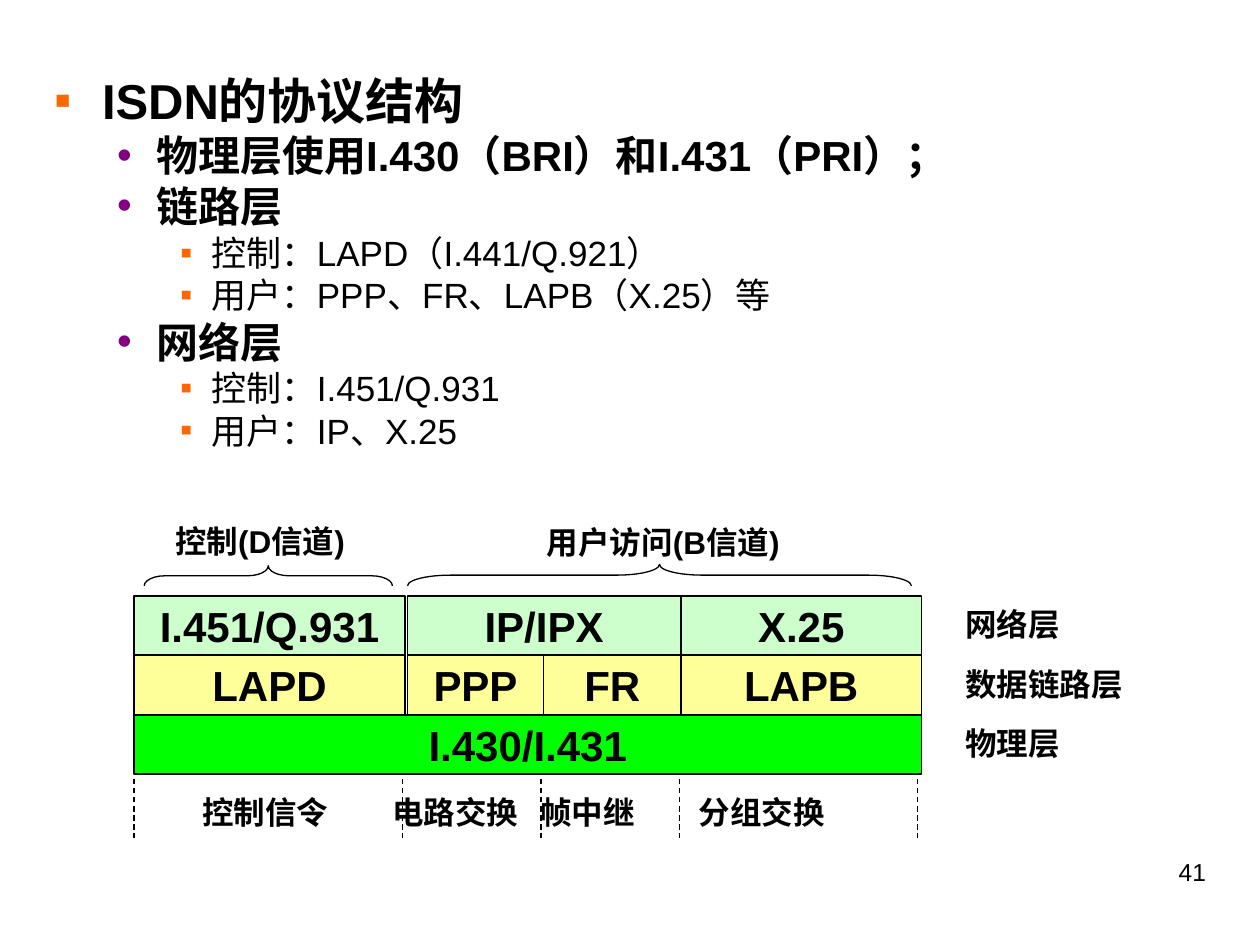
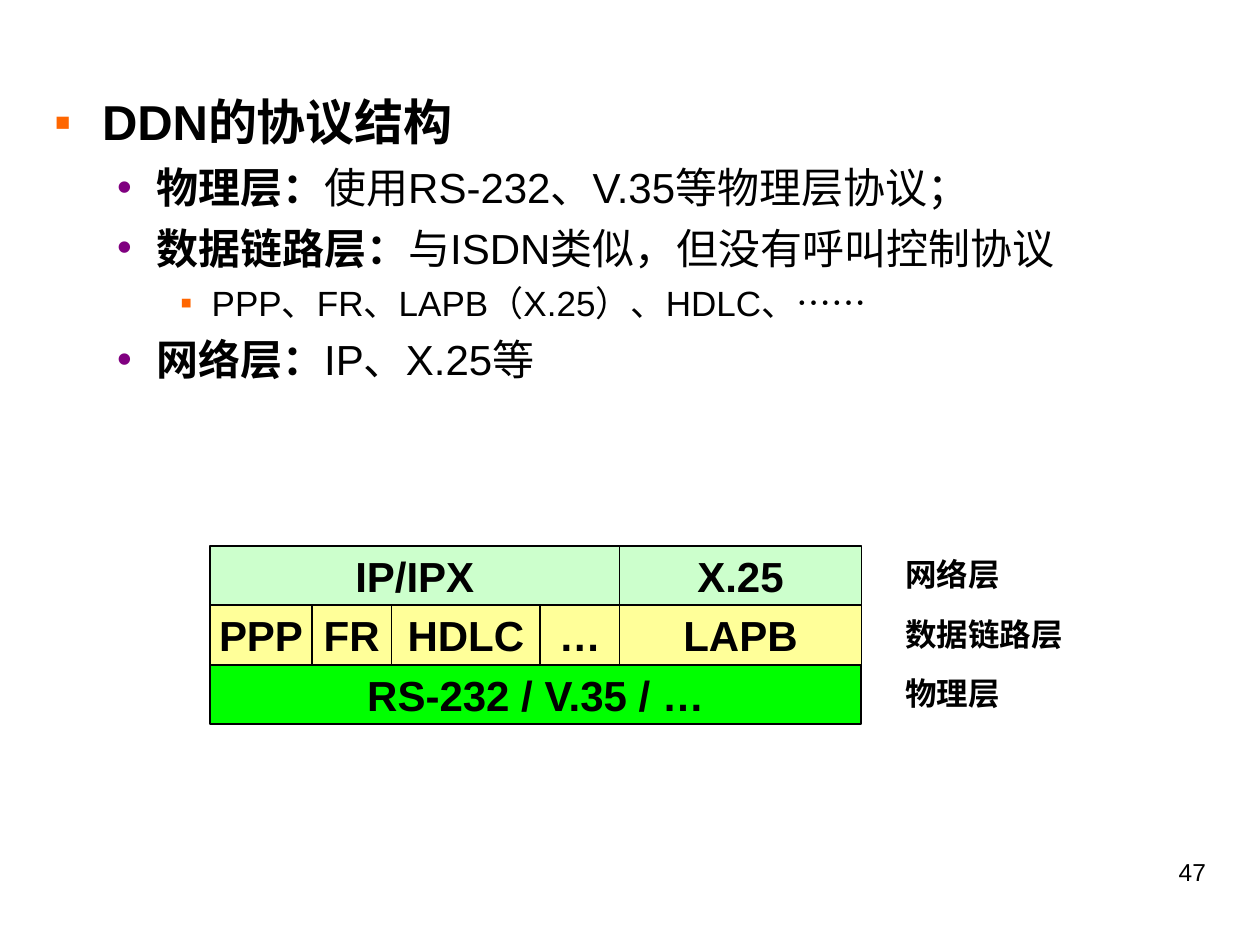
import itertools

import pptx
import pptx.util
import pptx.dml.color
import pptx.enum.dml
import pptx.enum.shapes
import pptx.enum.text
import pptx.oxml.ns
import lxml.etree

# The slide is a grid of 100 columns and 75 rows of 0.1 inch.
COLS, ROWS = 100, 75
UNIT = 0.1
FONT = "Arial"
INK = "000000"
FILLS = ["CCFFCC", "FFFF99", "00FF00"]
LAYERS = ["网络层", "数据链路层", "物理层"]
# Level: size, left margin, indent (inches), space before, bullet, bullet colour
LEVELS = [
    (28, 0.38, -0.38, 7, "▪", "FF6600"),
    (24, 0.81, -0.31, 6, "•", "800080"),
    (20, 1.25, -0.25, 5, "▪", "FF6600"),
]
ALIGN = pptx.enum.text.PP_ALIGN
SHAPE = pptx.enum.shapes.MSO_SHAPE

# Level, bold part, plain part
ISDN_TEXT = [
    (0, "ISDN的协议结构", ""),
    (1, "物理层使用I.430（BRI）和I.431（PRI）；", ""),
    (1, "链路层", ""),
    (2, "", "控制：LAPD（I.441/Q.921）"),
    (2, "", "用户：PPP、FR、LAPB（X.25）等"),
    (1, "网络层", ""),
    (2, "", "控制：I.451/Q.931"),
    (2, "", "用户：IP、X.25"),
]
DDN_TEXT = [
    (0, "DDN的协议结构", ""),
    (1, "物理层：", "使用RS-232、V.35等物理层协议；"),
    (1, "数据链路层：", "与ISDN类似，但没有呼叫控制协议"),
    (2, "", "PPP、FR、LAPB（X.25）、HDLC、……"),
    (1, "网络层：", "IP、X.25等"),
]
# Row, first column edge, last column edge, text
ISDN_CELLS = [
    (0, 0, 1, "I.451/Q.931"), (0, 2, 4, "IP/IPX"), (0, 4, 5, "X.25"),
    (1, 0, 1, "LAPD"), (1, 2, 3, "PPP"), (1, 3, 4, "FR"), (1, 4, 5, "LAPB"),
    (2, 0, 5, "I.430/I.431"),
]
DDN_CELLS = [
    (0, 0, 4, "IP/IPX"), (0, 4, 5, "X.25"),
    (1, 0, 1, "PPP"), (1, 1, 2, "FR"), (1, 2, 3, "HDLC"),
    (1, 3, 4, "…"), (1, 4, 5, "LAPB"),
    (2, 0, 5, "RS-232 / V.35 / …"),
]


def color(code):
    return pptx.dml.color.RGBColor.from_string(code)


def grid(*sizes):
    """Turn grid units into lengths."""
    return [pptx.util.Inches(size * UNIT) for size in sizes]


def add_run(para, text, size, bold):
    run = para.add_run()
    run.text = text
    run.font.name = FONT
    run.font.size = pptx.util.Pt(size)
    run.font.bold = bold
    run.font.color.rgb = color(INK)


def write(shape, text, size, bold=True, align=ALIGN.CENTER, wrap=True):
    frame = shape.text_frame
    frame.word_wrap = wrap
    frame.vertical_anchor = pptx.enum.text.MSO_ANCHOR.MIDDLE
    para = frame.paragraphs[0]
    para.alignment = align
    add_run(para, text, size, bold)


def add_label(slide, box, text, size=18, **style):
    write(slide.shapes.add_textbox(*grid(*box)), text, size, **style)


def set_bullet(para, left, indent, mark, tint):
    props = para._p.get_or_add_pPr()
    props.set("marL", str(pptx.util.Inches(left)))
    props.set("indent", str(pptx.util.Inches(indent)))
    qn = pptx.oxml.ns.qn
    tone = lxml.etree.SubElement(props, qn("a:buClr"))
    lxml.etree.SubElement(tone, qn("a:srgbClr"), val=tint)
    lxml.etree.SubElement(props, qn("a:buFont"), typeface=FONT)
    lxml.etree.SubElement(props, qn("a:buChar"), char=mark)


def add_body(slide, box, lines, pitch):
    body = slide.placeholders[1]
    body.left, body.top, body.width, body.height = grid(*box)
    frame = body.text_frame
    frame.auto_size = pptx.enum.text.MSO_AUTO_SIZE.NONE
    for num, (level, strong, plain) in enumerate(lines):
        para = frame.add_paragraph() if num else frame.paragraphs[0]
        size, left, indent, before, mark, tint = LEVELS[level]
        para.level = level
        set_bullet(para, left, indent, mark, tint)
        para.line_spacing = pitch
        para.space_before = pptx.util.Pt(before if num else 0)
        for text, bold in ((strong, True), (plain, False)):
            if text:
                add_run(para, text, size, bold)


def add_stack(slide, box, widths, cells):
    """Draw the protocol layers in the box, with their names on its right."""
    left, top, width, height = box
    step = height / len(FILLS)
    scale = width / sum(widths)
    edges = [left + scale * x for x in itertools.accumulate(widths, initial=0)]
    for row, first, last, text in cells:
        place = grid(edges[first], top + row * step,
                     edges[last] - edges[first], step)
        cell = slide.shapes.add_shape(SHAPE.RECTANGLE, *place)
        cell.shadow.inherit = False
        cell.fill.solid()
        cell.fill.fore_color.rgb = color(FILLS[row])
        cell.line.color.rgb = color(INK)
        cell.line.width = pptx.util.Pt(1)
        write(cell, text, 24, wrap=False)
    for row, name in enumerate(LAYERS):
        add_label(slide, (left + width + 2.5, top + row * step - 0.1, 16, step),
                  name, align=ALIGN.LEFT)


def add_brace(slide, box, bend):
    """Draw a brace that fills the box and points up."""
    left, top, width, height = box
    place = grid(left + (width - height) / 2, top - (width - height) / 2,
                 height, width)
    brace = slide.shapes.add_shape(SHAPE.LEFT_BRACE, *place)
    brace.rotation = 90
    brace.adjustments[0] = bend
    brace.shadow.inherit = False
    brace.fill.background()
    brace.line.color.rgb = color(INK)
    brace.line.width = pptx.util.Pt(0.75)


def add_heads(slide, box):
    """Name the two channels above the stack."""
    left, top = box[:2]
    add_label(slide, (left, top - 6, 20, 3.3), "控制(D信道)")
    add_brace(slide, (left + 0.8, top - 2.4, 19.7, 1.6), 1.04)
    add_label(slide, (left + 29.5, top - 5.9, 25, 3.3), "用户访问(B信道)")
    add_brace(slide, (left + 21.7, top - 2.5, 40, 1.7), 2)


def add_feet(slide, box):
    """Name the services below the stack, between dashed lines."""
    left, top, _, height = box
    base = top + height
    services = [(10.4, "控制信令"), (25.5, "电路交换"),
                (36, "帧中继"), (49.8, "分组交换")]
    for mid, text in services:
        add_label(slide, (left + mid - 7, base + 1.2, 14, 3.5), text)
    for x in (0, 21.3, 32.3, 43.3, 62.2):
        ends = grid(left + x, base + 0.4, left + x, base + 5.1)
        line = slide.shapes.add_connector(
            pptx.enum.shapes.MSO_CONNECTOR.STRAIGHT, *ends)
        line.line.color.rgb = color(INK)
        line.line.width = pptx.util.Pt(0.75)
        line.line.dash_style = pptx.enum.dml.MSO_LINE.DASH
        lxml.etree.SubElement(line._element.spPr,
                              pptx.oxml.ns.qn("a:effectLst"))


def add_slide(deck, number, box, lines, pitch):
    slide = deck.slides.add_slide(deck.slide_layouts[1])
    title = slide.shapes.title._element
    title.getparent().remove(title)
    add_body(slide, box, lines, pitch)
    add_label(slide, (71.7, 66.6, 25, 5.2), number, 14,
              bold=False, align=ALIGN.RIGHT)
    return slide


def add_isdn(deck):
    slide = add_slide(deck, "41", (3.3, 6, 93.4, 33.1), ISDN_TEXT, 0.8)
    box = (10.64, 47.3, 62.5, 14.15)
    add_stack(slide, box, [21.5, 0.2, 10.8, 10.9, 19.1], ISDN_CELLS)
    add_heads(slide, box)
    add_feet(slide, box)


def add_ddn(deck):
    slide = add_slide(deck, "47", (3.3, 6.8, 93.4, 29.1), DDN_TEXT, 1.0)
    add_stack(slide, (16.67, 43.33, 51.7, 14.15),
              [8.1, 6.3, 11.8, 6.3, 19.2], DDN_CELLS)


def main():
    deck = pptx.Presentation()
    deck.slide_width, deck.slide_height = grid(COLS, ROWS)
    add_isdn(deck)
    add_ddn(deck)
    deck.save("out.pptx")


if __name__ == "__main__":
    main()
